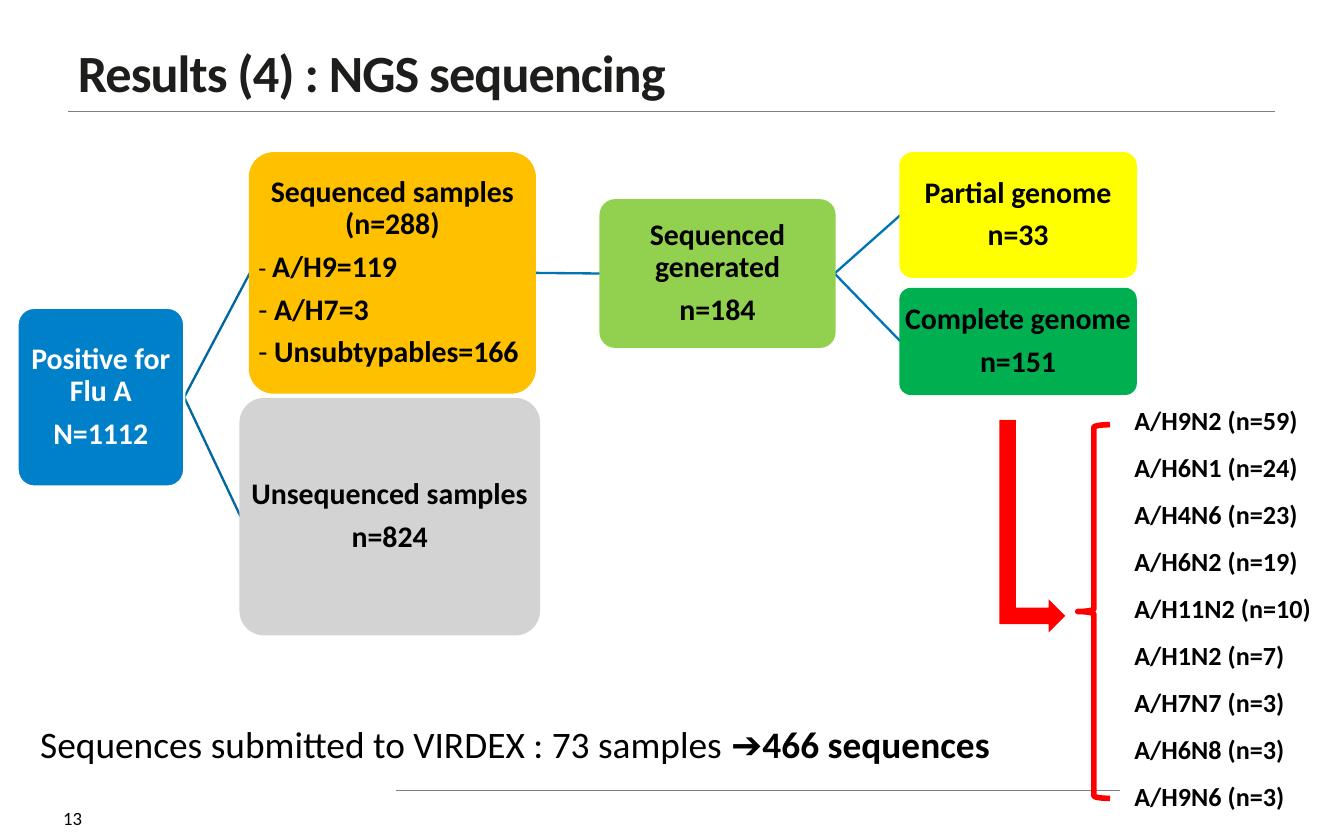
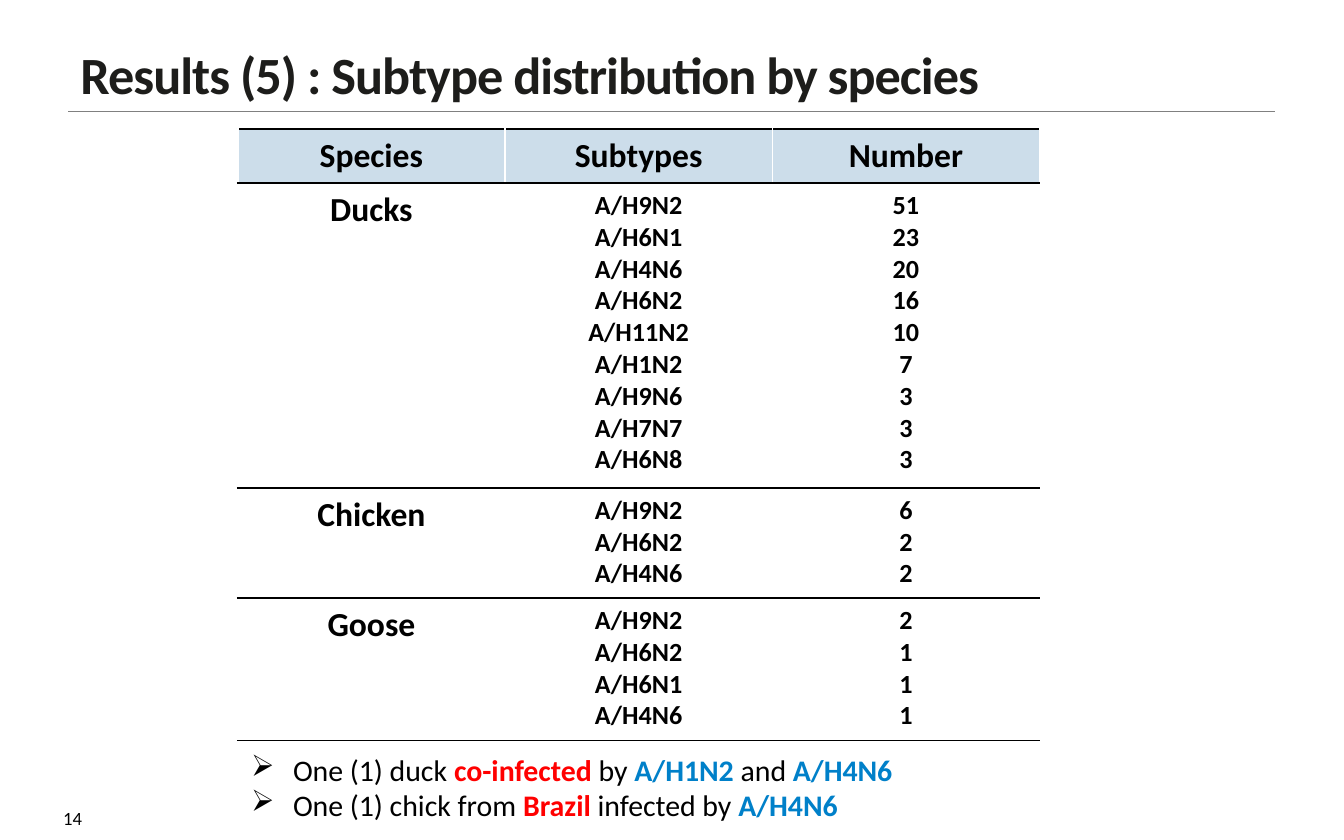
"""Build two result slides: the sequencing flow and the subtype table by species."""
import pptx
import pptx.util
import pptx.dml.color
import pptx.enum.shapes
import pptx.enum.text
import pptx.oxml
import pptx.oxml.ns
from dataclasses import dataclass

Pt = pptx.util.Pt
MSO = pptx.enum.shapes.MSO_SHAPE
ALIGN = pptx.enum.text.PP_ALIGN
ANCHOR = pptx.enum.text.MSO_ANCHOR


@dataclass(frozen=True)
class Theme:
    font: str = "Calibri"
    black: str = "000000"
    white: str = "FFFFFF"
    ink: str = "1D1D1B"
    grey: str = "808080"
    red: str = "FF0000"
    blue: str = "0080C9"
    header: str = "CCDDEA"
    orange: str = "FFC000"
    lime: str = "92D050"
    yellow: str = "FFFF00"
    green: str = "00B050"
    silver: str = "D3D3D3"
    link_dark: str = "0067A1"
    link_light: str = "0074B6"
    title: int = 28
    statement: int = 20
    heading: int = 18
    body: int = 16
    small: int = 14
    page: int = 10


T = Theme()
PLAIN = {"bold": False}
RED = {"color": T.red, "bold": True}
BLUE = {"color": T.blue, "bold": True}

BOXES = {
    "positive": ((9.4, 164.9, 89.3, 95.8), T.blue, T.white, T.white,
                 ["Positive for Flu A", "N=1112"]),
    "sequenced": ((133.9, 82.1, 152.6, 128.2), T.orange, T.orange, T.black,
                  ["Sequenced samples (n=288)",
                   [("- ", {"bold": False, "size": T.small}), ("A/H9=119", {})],
                   [("- ", PLAIN), ("A/H7=3", {})],
                   [("- ", PLAIN), ("Unsubtypables=166", {})]]),
    "generated": ((321.8, 107.3, 125.3, 78.5), T.lime, T.lime, T.black,
                  ["Sequenced generated", "n=184"]),
    "partial": ((482.4, 82.1, 126, 66.2), T.yellow, T.yellow, T.black,
                ["Partial genome", "n=33"]),
    "complete": ((482.4, 154.8, 126, 56.2), T.green, T.green, T.black,
                 ["Complete genome", "n=151"]),
    "unsequenced": ((128.9, 213.8, 159.8, 126), T.silver, T.silver, T.black,
                    ["Unsequenced samples", "n=824"]),
}
LINKS = [
    ("positive", "sequenced", T.link_dark),
    ("positive", "unsequenced", T.link_dark),
    ("sequenced", "generated", T.link_light),
    ("generated", "partial", T.link_light),
    ("generated", "complete", T.link_light),
]
GENOMES = [("A/H9N2", 59), ("A/H6N1", 24), ("A/H4N6", 23), ("A/H6N2", 19), ("A/H11N2", 10),
           ("A/H1N2", 7), ("A/H7N7", 3), ("A/H6N8", 3), ("A/H9N6", 3)]
SUBMITTED = [[("Sequences submitted to VIRDEX : 73 samples ➔", {}),
              ("466 sequences", {"bold": True})]]

COLUMNS = ["Species", "Subtypes", "Number"]
SPECIES = [
    ("Ducks", [("A/H9N2", 51), ("A/H6N1", 23), ("A/H4N6", 20), ("A/H6N2", 16), ("A/H11N2", 10),
               ("A/H1N2", 7), ("A/H9N6", 3), ("A/H7N7", 3), ("A/H6N8", 3)]),
    ("Chicken", [("A/H9N2", 6), ("A/H6N2", 2), ("A/H4N6", 2)]),
    ("Goose", [("A/H9N2", 2), ("A/H6N2", 1), ("A/H6N1", 1), ("A/H4N6", 1)]),
]
SPECIES_ROWS = [24.5, 163.4, 59, 76.3]
FINDINGS = [
    [("One (1) duck ", {}), ("co-infected", RED), (" by ", {}), ("A/H1N2 ", BLUE),
     ("and ", {}), ("A/H4N6", BLUE)],
    [("One (1) chick from ", {}), ("Brazil", RED), (" infected by ", {}), ("A/H4N6", BLUE)],
]


def rgb(color):
    return pptx.dml.color.RGBColor.from_string(color)


def pts(values):
    return [Pt(v) for v in values]


def write(tf, paras, size, color=T.black, bold=False, align=ALIGN.LEFT, line=None, after=None):
    tf.text = "\n".join("" if isinstance(para, list) else para for para in paras)
    for p, para in zip(tf.paragraphs, paras):
        p.alignment = align
        p.line_spacing = line
        if after is not None:
            p.space_after = Pt(after)
        styles = [{}]
        if isinstance(para, list):
            styles = [style for _, style in para]
            for text, _ in para:
                p.add_run().text = text
        for r, style in zip(p.runs, styles):
            r.font.name = T.font
            r.font.size = Pt(style.get("size", size))
            r.font.bold = style.get("bold", bold)
            r.font.color.rgb = rgb(style.get("color", color))


def text_box(s, box, paras, size, anchor=ANCHOR.TOP, **style):
    tf = s.shapes.add_textbox(*pts(box)).text_frame
    tf.word_wrap = True
    tf.vertical_anchor = anchor
    write(tf, paras, size, **style)
    return tf


def shape(s, kind, box, fill=None, line=None, width=1.25):
    sp = s.shapes.add_shape(kind, *pts(box))
    sp.shadow.inherit = False
    if fill:
        sp.fill.solid()
        sp.fill.fore_color.rgb = rgb(fill)
    else:
        sp.fill.background()
    if line:
        sp.line.color.rgb = rgb(line)
        sp.line.width = Pt(width)
    else:
        sp.line.fill.background()
    return sp


def connect(s, ends, color, width):
    cn = s.shapes.add_connector(pptx.enum.shapes.MSO_CONNECTOR.STRAIGHT, *pts(ends))
    cn.line.color.rgb = rgb(color)
    cn.line.width = Pt(width)
    cn._element.spPr.append(pptx.oxml.parse_xml(f'<a:effectLst {pptx.oxml.ns.nsdecls("a")}/>'))


def add_borders(cell, colors):
    tcPr = cell._tc.get_or_add_tcPr()
    for side, color in colors.items():
        tcPr.append(pptx.oxml.parse_xml(
            f'<a:ln{side} {pptx.oxml.ns.nsdecls("a")} w="{Pt(1)}"><a:solidFill>'
            f'<a:srgbClr val="{color}"/></a:solidFill></a:ln{side}>'))


def add_table(s, left, top, col_width, heights, cols):
    frame = s.shapes.add_table(len(heights), cols, *pts((left, top, col_width * cols, sum(heights))))
    tb = frame.table
    tb.first_row = tb.horz_banding = False
    for col in tb.columns:
        col.width = Pt(col_width)
    for row, height in zip(tb.rows, heights):
        row.height = Pt(height)
    return tb


def fill_cell(cell, paras, size, fill=T.white, align=ALIGN.LEFT):
    cell.fill.solid()
    cell.fill.fore_color.rgb = rgb(fill)
    write(cell.text_frame, paras, size, bold=True, align=align)


def base_slide(prs, title, number, left, top):
    s = prs.slides.add_slide(prs.slide_layouts[6])
    connect(s, (212.4, 423.4, 620.6, 423.4), T.grey, 0.5)
    text_box(s, (0, 426.2, 77.8, 23.8), [str(number)], T.page, ANCHOR.MIDDLE, align=ALIGN.CENTER)
    connect(s, (36.7, 59.8, 683.3, 59.8), T.grey, 0.25)
    tf = text_box(s, (left, top, 594, 46), [title], T.title, ANCHOR.BOTTOM,
                  color=T.ink, bold=True, line=0.85)
    tf.paragraphs[0].runs[0]._r.get_or_add_rPr().set("spc", "-50")
    return s


def flow_box(s, box, fill, line, color, paras):
    sp = shape(s, MSO.ROUNDED_RECTANGLE, box, fill, line)
    sp.adjustments[0] = 0.1
    tf = sp.text_frame
    tf.word_wrap = True
    tf.vertical_anchor = ANCHOR.MIDDLE
    tf.margin_left = tf.margin_right = tf.margin_top = tf.margin_bottom = Pt(0.7)
    write(tf, paras, T.body, color, True, ALIGN.CENTER, 0.9, 5.6)
    for p, para in zip(tf.paragraphs, paras):
        if isinstance(para, list):
            p.alignment = ALIGN.LEFT


def sequencing_slide(prs):
    s = base_slide(prs, "Results (4) : NGS sequencing", 13, 34.6, 13)
    for start, end, color in LINKS:
        x1, y1, w1, h1 = BOXES[start][0]
        x2, y2, _, h2 = BOXES[end][0]
        connect(s, (x1 + w1, y1 + h1 / 2, x2, y2 + h2 / 2), color, 1.25)
    for box in BOXES.values():
        flow_box(s, *box)
    tf = text_box(s, (14.4, 370.8, 553, 39.6), SUBMITTED, T.statement, line=1.5)
    tf.auto_size = pptx.enum.text.MSO_AUTO_SIZE.SHAPE_TO_FIT_TEXT
    shape(s, MSO.BENT_UP_ARROW, (496.1, 264.2, 113.8, 35.3), T.red).rotation = 90
    shape(s, MSO.LEFT_BRACE, (577.4, 227.5, 17.3, 200.2), line=T.red, width=3)
    tb = add_table(s, 600.5, 213.8, 110.9, [25.15] * len(GENOMES), 1)
    for i, (name, count) in enumerate(GENOMES):
        fill_cell(tb.cell(i, 0), [f"{name} (n={count})"], T.small)


def species_slide(prs):
    s = base_slide(prs, "Results (5) : Subtype distribution by species", 14, 36, 13.7)
    tb = add_table(s, 127.4, 69.1, 143.2, SPECIES_ROWS, len(COLUMNS))
    rows = [[([name], T.heading) for name in COLUMNS]]
    for name, counts in SPECIES:
        rows.append([([name], T.heading),
                     ([subtype for subtype, _ in counts], T.small),
                     ([str(count) for _, count in counts], T.small)])
    for i, row in enumerate(rows):
        for j, (paras, size) in enumerate(row):
            cell = tb.cell(i, j)
            add_borders(cell, {"L": T.white, "R": T.white, "T": T.black, "B": T.black})
            fill_cell(cell, paras, size, T.white if i else T.header, ALIGN.CENTER)
    tf = shape(s, MSO.RECTANGLE, (127.4, 398.9, 493.2, 46), T.white).text_frame
    tf.word_wrap = True
    tf.vertical_anchor = ANCHOR.TOP
    tf.auto_size = pptx.enum.text.MSO_AUTO_SIZE.SHAPE_TO_FIT_TEXT
    write(tf, FINDINGS, T.body)
    for p in tf.paragraphs:
        pPr = p._p.get_or_add_pPr()
        pPr.set("marL", str(Pt(22.5)))
        pPr.set("indent", str(-Pt(22.5)))
        pPr.append(pptx.oxml.parse_xml(f'<a:buChar {pptx.oxml.ns.nsdecls("a")} char="➢"/>'))


def main():
    prs = pptx.Presentation()
    prs.slide_width, prs.slide_height = Pt(720), Pt(450)
    sequencing_slide(prs)
    species_slide(prs)
    prs.save("out.pptx")


if __name__ == "__main__":
    main()
